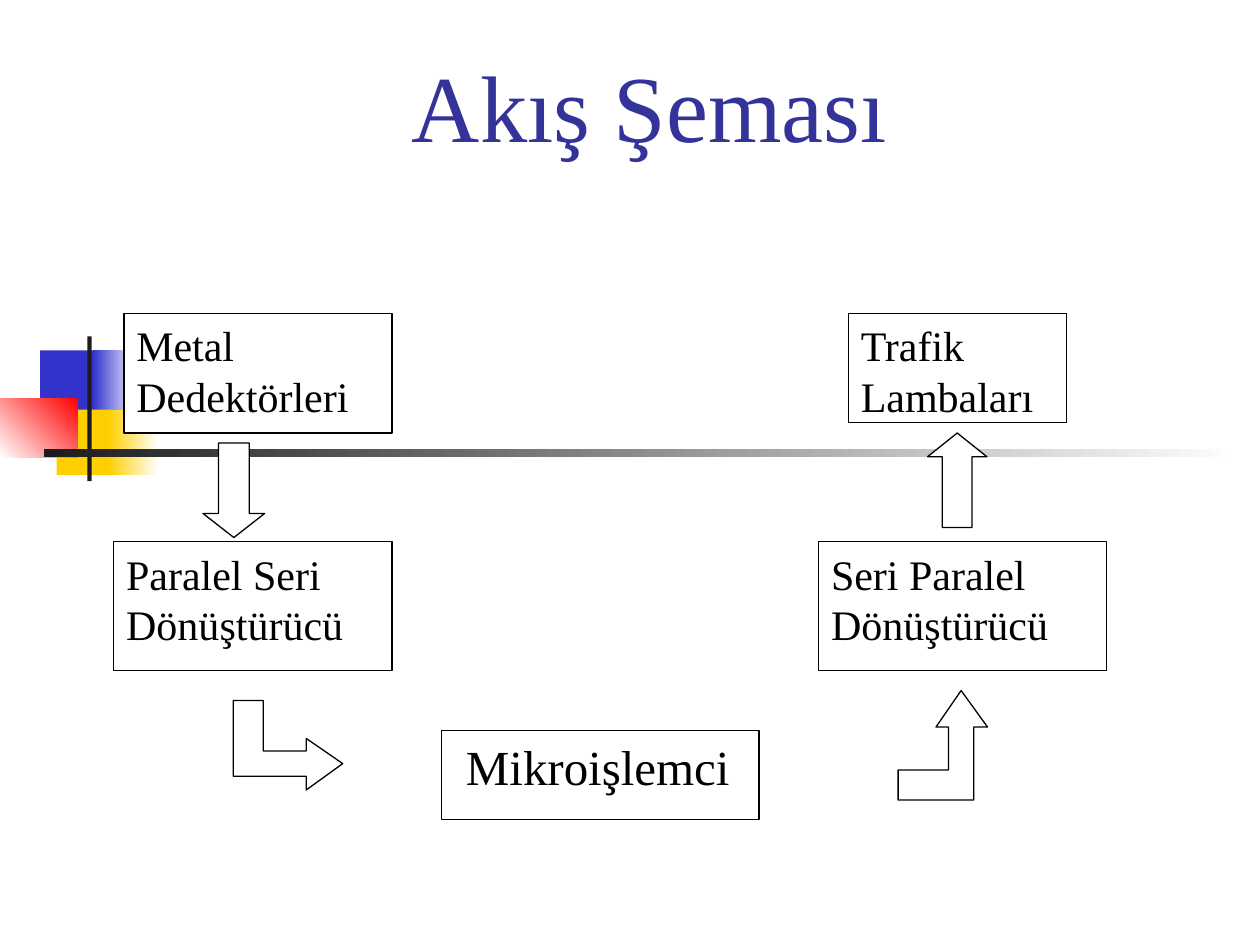
from dataclasses import dataclass

from pptx import Presentation
from pptx.dml.color import RGBColor
from pptx.enum.shapes import MSO_SHAPE
from pptx.enum.text import MSO_ANCHOR, MSO_AUTO_SIZE, PP_ALIGN
from pptx.util import Pt

RECT, ARROW = MSO_SHAPE.RECTANGLE, MSO_SHAPE.RIGHT_ARROW
TOP, MIDDLE = MSO_ANCHOR.TOP, MSO_ANCHOR.MIDDLE
LEFT, CENTER = PP_ALIGN.LEFT, PP_ALIGN.CENTER
NO_FIT = MSO_AUTO_SIZE.NONE


@dataclass(frozen=True)
class Theme:
    font: str = "Times New Roman"
    title_size: float = 54
    box_size: float = 24
    main_size: float = 28
    line_width: float = 0.75
    title: str = "333399"
    ink: str = "000000"
    paper: str = "FFFFFF"
    blue: str = "3333CC"
    yellow: str = "FFCF01"
    red: str = "FF0000"
    dark: str = "1C1C1C"


# Elbow arrow pointing up, drawn from its own top left corner
ELBOW = [(0, 45.4), (28.8, 45.4), (28.8, 20.9), (21.6, 20.9), (36, 0),
         (51.1, 20.9), (43.2, 20.9), (43.2, 62.6), (0, 62.6)]


class SlideBuilder:
    def __init__(self, slide, theme):
        self.s, self.theme = slide, theme

    def set_text(self, tf, text, size, color, align=LEFT, anchor=TOP):
        tf.text = text
        tf.word_wrap, tf.auto_size, tf.vertical_anchor = True, NO_FIT, anchor
        tf.margin_left = tf.margin_right = Pt(7.2)
        tf.margin_top = tf.margin_bottom = Pt(3.6)
        p = tf.paragraphs[0]
        p.alignment = align
        font = p.runs[0].font
        font.name, font.size = self.theme.font, Pt(size)
        font.color.rgb = RGBColor.from_string(color)

    def title(self, text, x, y, w, h):
        sp = self.s.shapes.title
        sp.left, sp.top, sp.width, sp.height = map(Pt, (x, y, w, h))
        self.set_text(sp.text_frame, text, self.theme.title_size,
                      self.theme.title, CENTER, MIDDLE)

    def shape(self, kind, x, y, w, h):
        sp = self.s.shapes.add_shape(kind, *map(Pt, (x, y, w, h)))
        sp.shadow.inherit = False
        return sp

    def block(self, x, y, w, h, color, fade_to=None, angle=0):
        """Borderless bar, solid or fading along a counter-clockwise angle."""
        sp = self.shape(RECT, x, y, w, h)
        sp.line.fill.background()
        if fade_to is None:
            sp.fill.solid()
            sp.fill.fore_color.rgb = RGBColor.from_string(color)
            return
        sp.fill.gradient()
        sp.fill.gradient_angle = angle
        for stop, value in zip(sp.fill.gradient_stops, (color, fade_to)):
            stop.color.rgb = RGBColor.from_string(value)

    def outline(self, sp):
        sp.fill.solid()
        sp.fill.fore_color.rgb = RGBColor.from_string(self.theme.paper)
        sp.line.color.rgb = RGBColor.from_string(self.theme.ink)
        sp.line.width = Pt(self.theme.line_width)

    def box(self, text, x, y, w, h, size):
        sp = self.shape(RECT, x, y, w, h)
        self.outline(sp)
        self.set_text(sp.text_frame, text, size, self.theme.ink)

    def arrow(self, x, y, w, h, rotation, head):
        sp = self.shape(ARROW, x, y, w, h)
        sp.adjustments[1] = head
        sp.rotation = rotation
        self.outline(sp)

    def elbow_arrow(self, x, y, rotation=0):
        points = [(Pt(x + dx), Pt(y + dy)) for dx, dy in ELBOW]
        builder = self.s.shapes.build_freeform(*points[0])
        builder.add_line_segments(points[1:], close=True)
        sp = builder.convert_to_shape()
        sp.shadow.inherit = False
        sp.rotation = rotation
        self.outline(sp)


def main():
    prs = Presentation()
    prs.slide_width, prs.slide_height = Pt(720), Pt(540)
    t = Theme()
    b = SlideBuilder(prs.slides.add_slide(prs.slide_layouts[5]), t)

    # Corner ornament and rule
    b.block(23, 200.2, 34.6, 37.4, t.blue)
    b.block(53.3, 200.2, 25.9, 37.4, t.paper, t.blue, 180)
    b.block(32.4, 234, 33.1, 37.4, t.yellow)
    b.block(61.9, 234, 28.8, 37.4, t.paper, t.yellow, 180)
    b.block(0, 227.5, 44.4, 33.9, t.red, t.paper, 225)
    b.block(49.9, 192.2, 2.5, 82.8, t.dark)
    b.block(25.2, 256.8, 684.7, 4.5, t.paper, t.dark, 180)

    b.title("Akış Şeması", 76.3, 20.2, 589.7, 79.2)

    # Flow: detectors down to the processor, then up to the lights
    for text, x, y, w, h, size in [
        ("Metal Dedektörleri", 70.8, 179.2, 153.2, 68.3, t.box_size),
        ("Paralel Seri Dönüştürücü", 65, 309.6, 159, 73.4, t.box_size),
        (" Mikroişlemci", 252.2, 417.4, 181.6, 51, t.main_size),
        ("Seri Paralel Dönüştürücü", 467.8, 309.6, 164.5, 73.4, t.box_size),
        ("Trafik Lambaları", 484.8, 179.2, 124.6, 62.3, t.box_size),
    ]:
        b.box(text, x, y, w, h, size)

    b.arrow(106.6, 262.5, 54, 35.3, 90, 0.39)
    b.arrow(520, 257.4, 54, 34, 270, 0.4)
    b.elbow_arrow(513.2, 394.6)
    b.elbow_arrow(139, 394.6, 90)

    prs.save("out.pptx")


if __name__ == "__main__":
    main()
